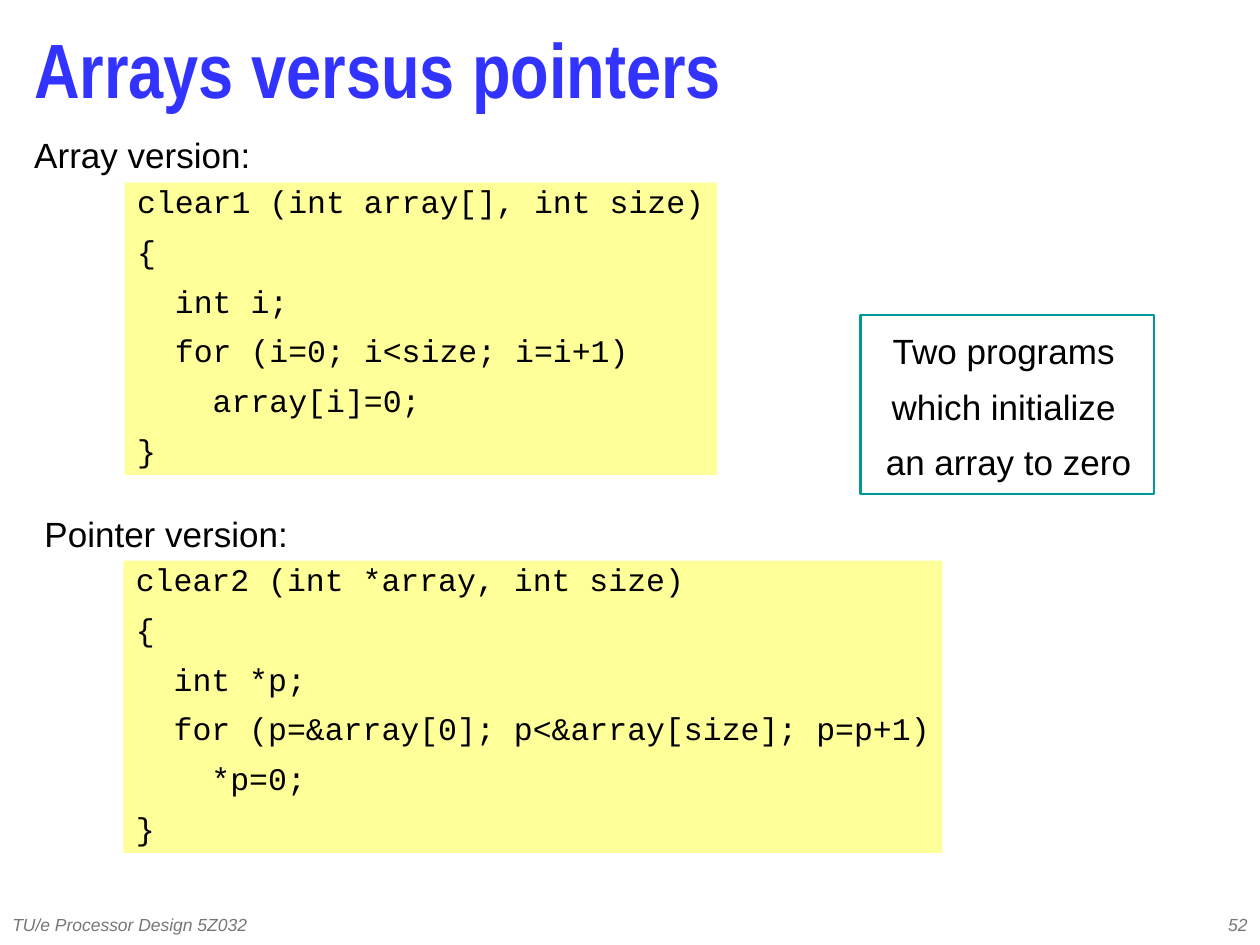
from pptx import Presentation
from pptx.dml.color import RGBColor
from pptx.enum.shapes import MSO_SHAPE as Preset
from pptx.enum.text import MSO_ANCHOR as Anchor, MSO_AUTO_SIZE as AutoSize, PP_ALIGN as Align
from pptx.util import Inches, Pt

BLUE = RGBColor(0x33, 0x33, 0xFF)
YELLOW = RGBColor(0xFF, 0xFF, 0x99)
TEAL = RGBColor(0x00, 0x99, 0x99)
INK = RGBColor(0x01, 0x00, 0x00)
GRAY = RGBColor(0x77, 0x77, 0x77)

HEADING = {"name": "Arial Narrow", "size": Pt(44), "bold": True}
CODE = {"name": "Courier New", "size": Pt(18)}
LABEL = {"name": "Arial", "size": Pt(20)}
FOOTER = {"name": "Arial", "size": Pt(10), "italic": True}
FITTED = {"word_wrap": False, "auto_size": AutoSize.SHAPE_TO_FIT_TEXT,
          "vertical_anchor": Anchor.MIDDLE}
FIXED = {"word_wrap": True, "auto_size": AutoSize.NONE,
         "vertical_anchor": Anchor.MIDDLE}


def write(shape, text, font, color, align, frame=FITTED, spacing=0.8, gap=0):
    for key, value in frame.items():
        setattr(shape.text_frame, key, value)
    shape.text_frame.text = text
    for index, line in enumerate(shape.text_frame.paragraphs):
        layout = {"alignment": align, "line_spacing": spacing,
                  "space_before": Pt(gap if index else 0)}
        for key, value in layout.items():
            setattr(line, key, value)
        for key, value in font.items():
            setattr(line.font, key, value)
        line.font.color.rgb = color


prs = Presentation()
prs.slide_width, prs.slide_height = Inches(10), Inches(7.5)
slide = prs.slides.add_slide(prs.slide_layouts[5])

heading = slide.shapes.title
place = {"left": 0.17, "top": 0.17, "width": 9.42, "height": 0.92}
for key, value in place.items():
    setattr(heading, key, Inches(value))
write(heading, "Arrays versus pointers", HEADING, BLUE, Align.LEFT, FIXED, 0.7)

array_code = """clear1 (int array[], int size)
{
  int i;
  for (i=0; i<size; i=i+1)
    array[i]=0;
}"""
pointer_code = """clear2 (int *array, int size)
{
  int *p;
  for (p=&array[0]; p<&array[size]; p=p+1)
    *p=0;
}"""
for code, left, top, width in [(array_code, 0.99, 1.45, 4.7),
                               (pointer_code, 0.98, 4.45, 6.5)]:
    listing = slide.shapes.add_shape(Preset.RECTANGLE, Inches(left), Inches(top),
                                     Inches(width), Inches(2.32))
    listing.shadow.inherit = False
    listing.fill.solid()
    listing.fill.fore_color.rgb = YELLOW
    listing.line.fill.background()
    write(listing, code, CODE, INK, Align.LEFT, gap=11.2)

for caption, left, top, width in [("Array version:", 0.17, 1.07, 1.92),
                                  ("Pointer version:", 0.25, 4.08, 2.14)]:
    label = slide.shapes.add_textbox(Inches(left), Inches(top),
                                     Inches(width), Inches(0.37))
    write(label, caption, LABEL, INK, Align.CENTER)

remark = slide.shapes.add_group_shape()
summary = remark.shapes.add_textbox(Inches(6.93), Inches(2.63),
                                    Inches(2.15), Inches(1.25))
write(summary, "Two programs \nwhich initialize \nan array to zero",
      LABEL, INK, Align.CENTER, gap=12.5)
border = remark.shapes.add_shape(Preset.RECTANGLE, Inches(6.83), Inches(2.5),
                                 Inches(2.33), Inches(1.42))
border.shadow.inherit = False
border.fill.background()
border.line.color.rgb = TEAL
border.line.width = Pt(1.5)

for note, left, width, align in [("TU/e Processor Design 5Z032", 0, 3.17, Align.LEFT),
                                 ("52", 7.92, 2.08, Align.RIGHT)]:
    footer = slide.shapes.add_textbox(Inches(left), Inches(7.17),
                                      Inches(width), Inches(0.33))
    write(footer, note, FOOTER, GRAY, align, FIXED, 1.0)

prs.save("out.pptx")
